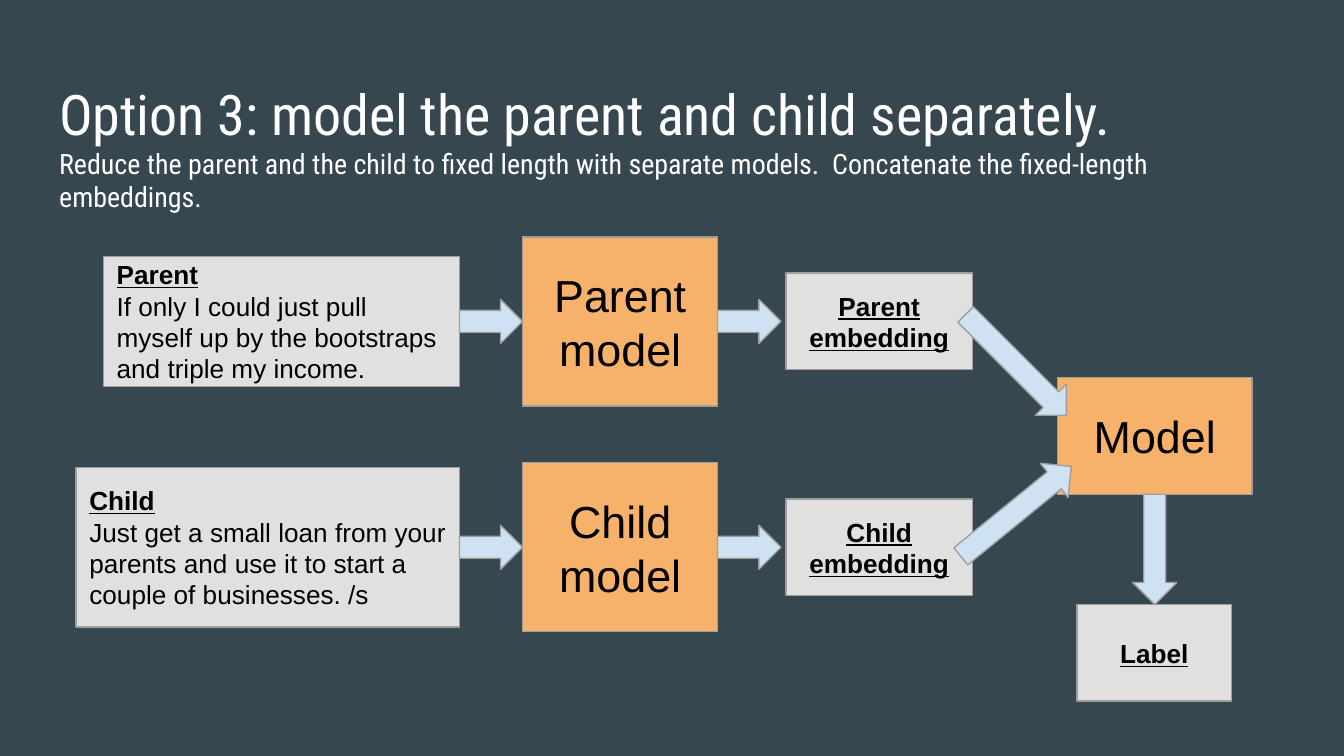
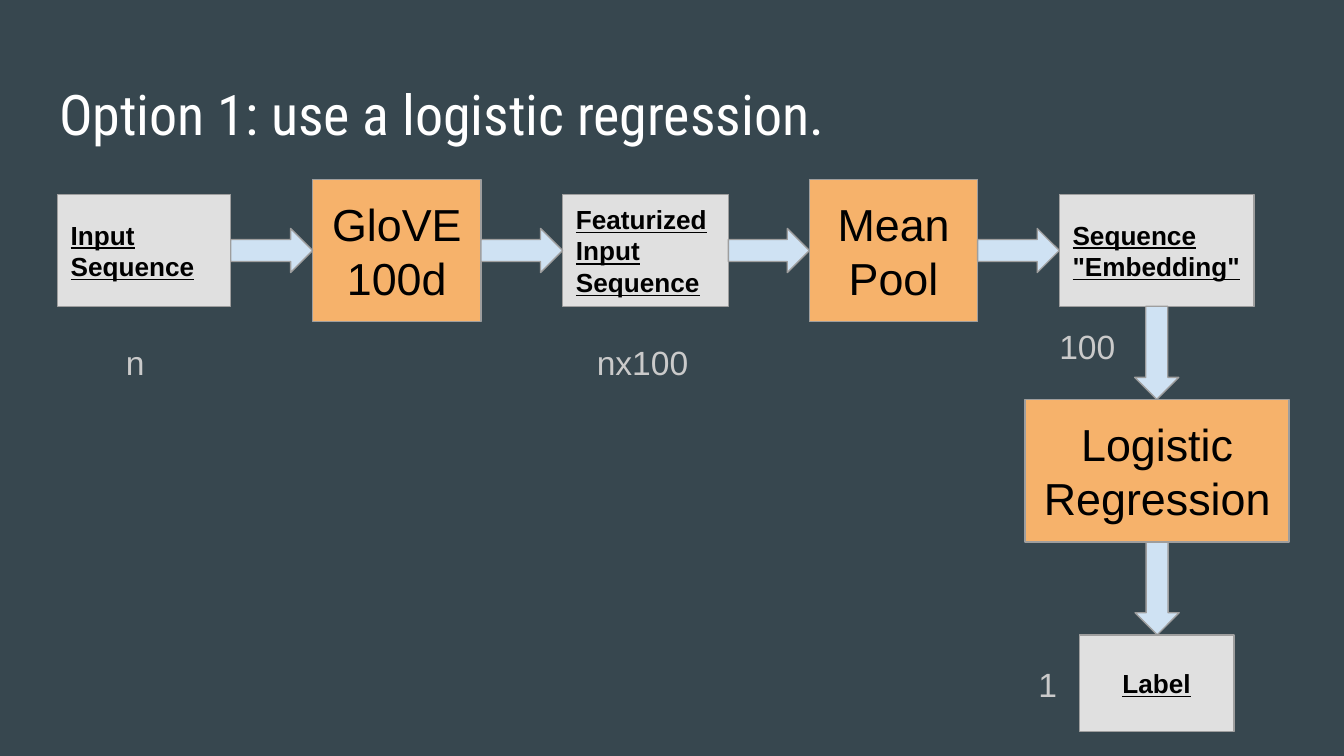
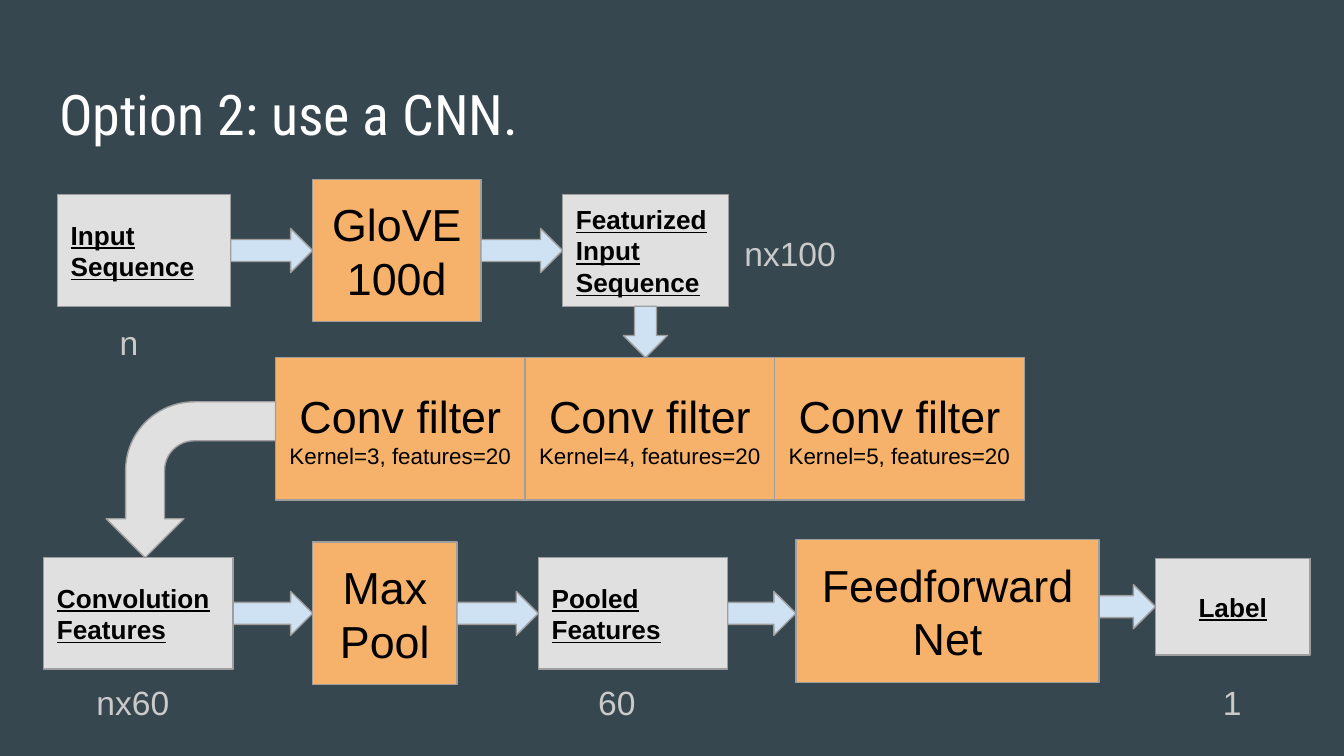
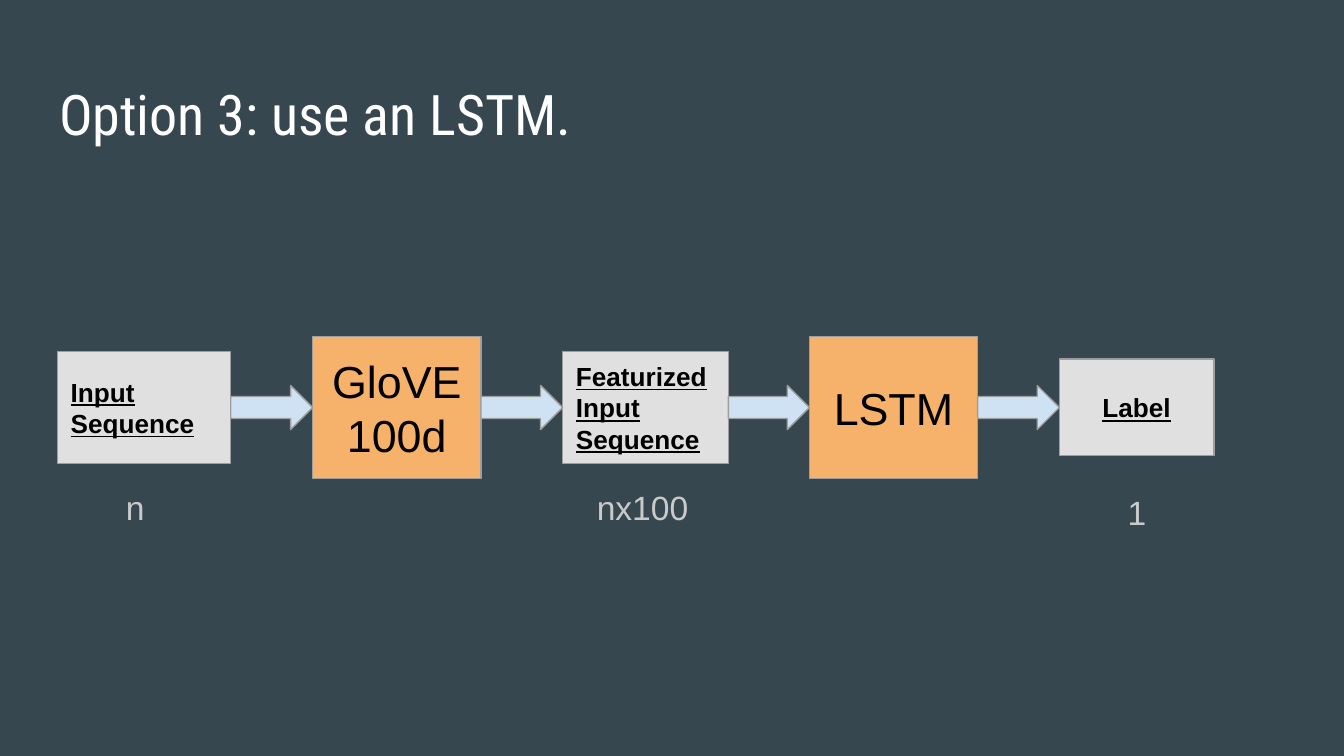
from math import atan2, degrees, hypot

from pptx import Presentation
from pptx.dml.color import RGBColor
from pptx.enum.shapes import MSO_SHAPE
from pptx.enum.text import MSO_ANCHOR, PP_ALIGN
from pptx.util import Pt

LEFT, CENTER = PP_ALIGN.LEFT, PP_ALIGN.CENTER
TOP, MIDDLE = MSO_ANCHOR.TOP, MSO_ANCHOR.MIDDLE
RECTANGLE = MSO_SHAPE.RECTANGLE
RIGHT_ARROW = MSO_SHAPE.RIGHT_ARROW
BENT_ARROW = MSO_SHAPE.BENT_ARROW

BACKGROUND, WHITE, BLACK = "37474F", "FFFFFF", "000000"
DATA_FILL, MODEL_FILL, ARROW_FILL = "E0E0E0", "F6B26B", "CFE2F3"
OUTLINE, DIMENSION_COLOR = "9E9E9E", "CACACA"
TITLE_FONT, BODY_FONT = "Roboto Condensed", "Arial"
INSET = 7.2
ARROW_THICKNESS = 23.6
DATA_HEIGHT, MODEL_HEIGHT, LABEL_HEIGHT = 59.8, 76.4, 51.8
LABEL_WIDTH = 82.8
PLAIN = {"bold": False, "underline": False}


def color(value):
    return RGBColor.from_string(value)


def write(shape, lines, align=LEFT, anchor=TOP, spacing=None, space_after=None, **base):
    frame = shape.text_frame
    frame.word_wrap = True
    frame.vertical_anchor = anchor
    frame.margin_left = frame.margin_right = Pt(INSET)
    frame.margin_top = frame.margin_bottom = Pt(INSET)
    for index, (text, changes) in enumerate(lines):
        style = {**base, **changes}
        paragraph = frame.add_paragraph() if index else frame.paragraphs[0]
        paragraph.alignment = align
        paragraph.line_spacing = spacing
        if space_after:
            paragraph.space_after = Pt(space_after)
        run = paragraph.add_run()
        run.text = text
        run.font.name = style["font"]
        run.font.size = Pt(style["size"])
        run.font.color.rgb = color(style["ink"])
        run.font.bold = style.get("bold", False)
        run.font.underline = style.get("underline", False)


class Deck:
    def __init__(self):
        self.presentation = Presentation()
        self.presentation.slide_width = Pt(720)
        self.presentation.slide_height = Pt(405)
        self.slide = None

    def new_slide(self, title, subtitle=None):
        self.slide = self.presentation.slides.add_slide(self.presentation.slide_layouts[6])
        fill = self.slide.background.fill
        fill.solid()
        fill.fore_color.rgb = color(BACKGROUND)
        lines = [(title, {})]
        if subtitle:
            lines.append((subtitle, {"size": 15}))
        self.text(lines, 24.6, 35.2, 671, 45.4, font=TITLE_FONT, size=30, ink=WHITE)

    def text(self, lines, left, top, width, height, **style):
        box = self.slide.shapes.add_textbox(Pt(left), Pt(top), Pt(width), Pt(height))
        write(box, lines, **style)

    def dimension(self, text, left, top, width, align=LEFT):
        self.text([(text, {})], left, top, width, 43.2, align=align, spacing=1.15,
                  space_after=16, font=BODY_FONT, size=18, ink=DIMENSION_COLOR)

    def shape(self, kind, left, top, width, height, fill):
        shape = self.slide.shapes.add_shape(kind, Pt(left), Pt(top), Pt(width), Pt(height))
        shape.shadow.inherit = False
        shape.fill.solid()
        shape.fill.fore_color.rgb = color(fill)
        shape.line.color.rgb = color(OUTLINE)
        shape.line.width = Pt(0.75)
        return shape

    def data(self, text, left, middle, width, height=DATA_HEIGHT, align=LEFT, body=None):
        shape = self.shape(RECTANGLE, left, middle - height / 2, width, height, DATA_FILL)
        lines = [(line, {}) for line in text.split("\n")]
        if body:
            lines.append((body, PLAIN))
        write(shape, lines, align, MIDDLE, font=BODY_FONT, size=14, ink=BLACK,
              bold=True, underline=True)
        return shape

    def label(self, left, middle):
        return self.data("Label", left, middle, LABEL_WIDTH, LABEL_HEIGHT, CENTER)

    def model(self, text, left, middle, width, height=MODEL_HEIGHT, detail=None):
        shape = self.shape(RECTANGLE, left, middle - height / 2, width, height, MODEL_FILL)
        lines = [(text, {})]
        if detail:
            lines.append((detail, {"size": 12}))
        write(shape, lines, CENTER, MIDDLE, font=BODY_FONT, size=24, ink=BLACK)
        return shape

    def arrow(self, start, end):
        (x1, y1), (x2, y2) = start, end
        length = hypot(x2 - x1, y2 - y1)
        shape = self.shape(RIGHT_ARROW, (x1 + x2 - length) / 2,
                           (y1 + y2 - ARROW_THICKNESS) / 2, length, ARROW_THICKNESS, ARROW_FILL)
        shape.rotation = degrees(atan2(y2 - y1, x2 - x1))

    def flow_right(self, *boxes, gap=0):
        for source, target in zip(boxes, boxes[1:]):
            smaller = min(source, target, key=lambda box: box.height)
            middle = (smaller.top + smaller.height / 2) / Pt(1)
            self.arrow(((source.left + source.width) / Pt(1), middle),
                       (target.left / Pt(1) - gap, middle))

    def flow_down(self, *boxes):
        for source, target in zip(boxes, boxes[1:]):
            center = (source.left + source.width / 2) / Pt(1)
            self.arrow((center, (source.top + source.height) / Pt(1)),
                       (center, target.top / Pt(1)))

    def featurizer(self, middle):
        sequence = self.data("Input Sequence", 30.8, middle, 92.8)
        glove = self.model("GloVE 100d", 167.5, middle, 90.2)
        featurized = self.data("Featurized Input Sequence", 301.4, middle, 88.8)
        self.flow_right(sequence, glove, featurized)
        return featurized


def build_separate_models(deck):
    deck.new_slide("Option 3: model the parent and child separately.",
                   "Reduce the parent and the child to fixed length with separate models.  "
                   "Concatenate the fixed-length embeddings.")
    branches = [
        ("Parent", "If only I could just pull myself up by the bootstraps and triple my income.",
         55.4, 190.8, 69.8, 172.2),
        ("Child", "Just get a small loan from your parents and use it to start "
         "a couple of businesses. /s", 40.8, 205.4, 85.6, 293.2),
    ]
    for name, comment, left, width, height, middle in branches:
        source = deck.data(name, left, middle, width, height, body=comment)
        model = deck.model(f"{name} model", 280, middle, 104.4, 90.6)
        embedding = deck.data(f"{name} embedding", 421, middle, 100, LABEL_HEIGHT, CENTER)
        deck.flow_right(source, model)
        deck.flow_right(model, embedding, gap=2.6)
    joint_model = deck.model("Model", 566.4, 233.6, 104.4, 62.4)
    label = deck.label(577, 349.8)
    deck.flow_down(joint_model, label)
    deck.arrow((517.3, 168.5), (571.3, 222.5))
    deck.arrow((514.7, 298.1), (573.9, 249.9))


def build_logistic_regression(deck):
    middle = 134.2
    deck.new_slide("Option 1: use a logistic regression.")
    featurized = deck.featurizer(middle)
    pool = deck.model("Mean Pool", 433.6, middle, 90.2)
    embedding = deck.data('Sequence "Embedding"', 567.5, middle, 104.4)
    regression = deck.model("Logistic Regression", 549.2, 252.2, 141.4)
    label = deck.label(578.2, 366)
    deck.flow_right(featurized, pool, embedding)
    deck.flow_down(embedding, regression, label)
    deck.dimension("n", 60.4, 173, 34.6)
    deck.dimension("nx100", 312.6, 173, 66.2)
    deck.dimension("100", 560.4, 164, 47.5)
    deck.dimension("1", 549.2, 345, 27.4)


def build_cnn(deck):
    middle, filter_width = 328.6, 133.7
    deck.new_slide("Option 2: use a CNN.")
    featurized = deck.featurizer(134.2)
    filters = [
        deck.model("Conv filter", 147.6 + index * filter_width, 229.8, filter_width,
                   detail=f"Kernel={index + 3}, features=20")
        for index in range(3)
    ]
    deck.flow_down(featurized, filters[1])
    convolution = deck.data("Convolution Features", 23.4, middle, 101.5)
    max_pool = deck.model("Max Pool", 167.5, middle, 77.3)
    pooled = deck.data("Pooled\nFeatures", 288.4, middle, 101.5)
    feedforward = deck.model("Feedforward Net", 426.4, 327.4, 162.4)
    label = deck.label(619, 325)
    deck.flow_right(convolution, max_pool, pooled, feedforward, label)
    turn = deck.shape(BENT_ARROW, 60.5, 211.7, 83.5, 90.7, DATA_FILL)
    turn.rotation = 270
    turn._element.spPr.xfrm.set("flipH", "1")
    for index, value in enumerate((0.25, 0.25, 0.25, 0.44)):
        turn.adjustments[index] = value
    deck.dimension("n", 57, 162, 34.6)
    deck.dimension("nx100", 391.7, 114.5, 117.4)
    for text, left, width in (("nx60", 44.6, 59.8), ("60", 313.4, 59.8), ("1", 648, 36.7)):
        deck.dimension(text, left, 355, width)


def build_lstm(deck):
    middle = 218.3
    deck.new_slide("Option 3: use an LSTM.")
    featurized = deck.featurizer(middle)
    lstm = deck.model("LSTM", 433.6, middle, 90.2)
    label = deck.label(567.5, middle)
    deck.flow_right(featurized, lstm, label)
    deck.dimension("n", 60.4, 250.6, 34.6)
    deck.dimension("nx100", 312.6, 250.6, 66.2)
    deck.dimension("1", 576, 253, 66.2, CENTER)


def main():
    deck = Deck()
    build_separate_models(deck)
    build_logistic_regression(deck)
    build_cnn(deck)
    build_lstm(deck)
    deck.presentation.save("out.pptx")


if __name__ == "__main__":
    main()
